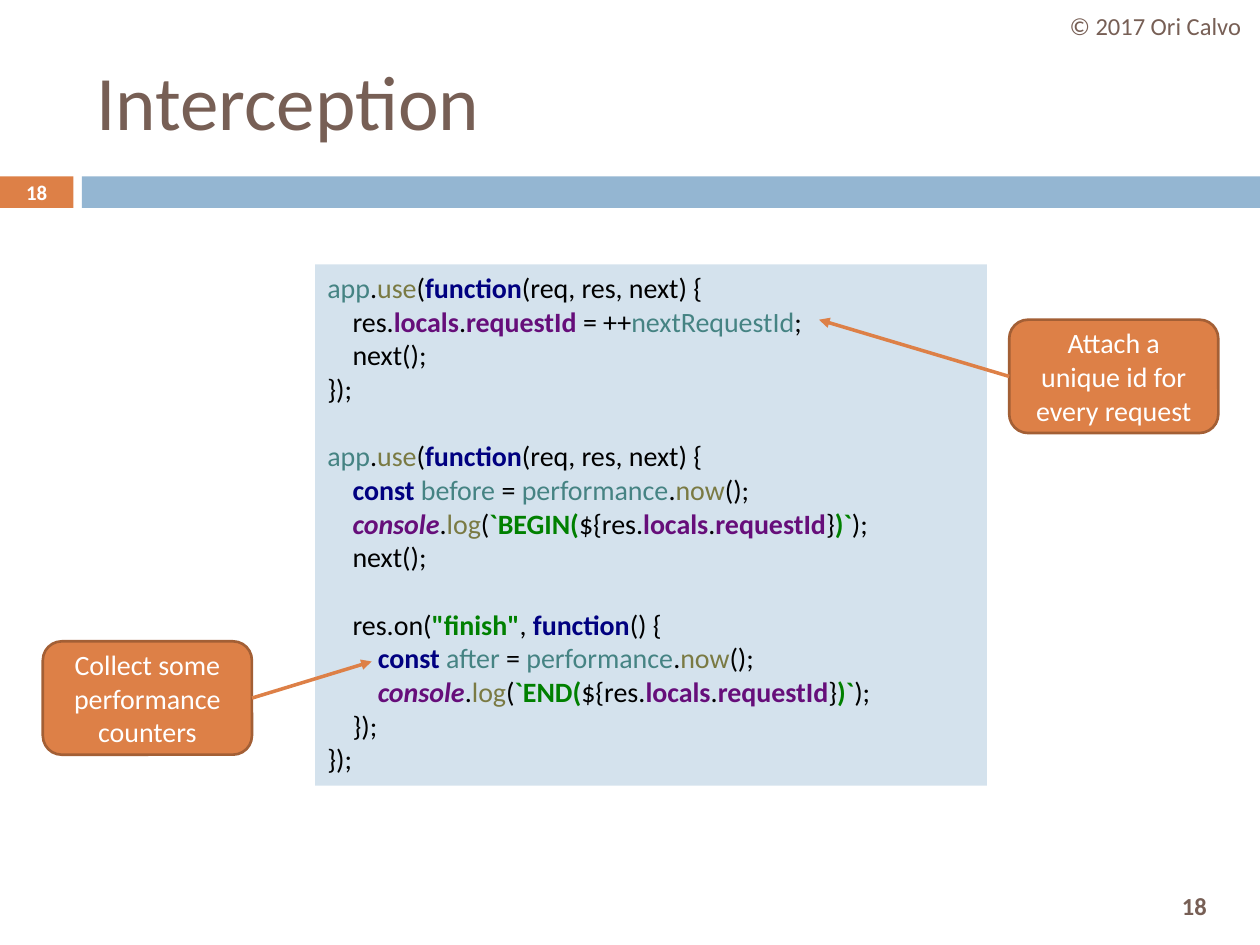
import pptx
import pptx.util
import pptx.dml.color
import pptx.enum.shapes
import pptx.enum.text
import pptx.oxml.ns
import lxml.etree

Pt = pptx.util.Pt
SHAPE = pptx.enum.shapes.MSO_SHAPE
ALIGN = pptx.enum.text.PP_ALIGN
ANCHOR = pptx.enum.text.MSO_ANCHOR

COLORS = {
    "brown": "775F55", "orange": "DD8047", "rust": "A35F35",
    "blue": "94B6D2", "pale": "D4E2ED", "white": "FFFFFF", "black": "000000",
    "teal": "458383", "olive": "7A7A43", "navy": "000080",
    "purple": "660E7A", "green": "008000",
}

# Code token styles: colour, bold, italic
TOKENS = {
    "": ("black", False, False),
    "v": ("teal", False, False),
    "m": ("olive", False, False),
    "k": ("navy", True, False),
    "p": ("purple", True, False),
    "g": ("purple", True, True),
    "s": ("green", True, False),
}


def rgb(name):
    return pptx.dml.color.RGBColor.from_string(COLORS[name])


class Deck:
    font = "Calibri"
    code_size = 16
    code_indent = 14.4
    code_line = 19.5

    def __init__(self, width, height):
        self.prs = pptx.Presentation()
        self.prs.slide_width, self.prs.slide_height = Pt(width), Pt(height)
        self.s = self.prs.slides.add_slide(self.prs.slide_layouts[6])

    def label(self, sp, text, size, color, bold=False, align=ALIGN.CENTER):
        tf = sp.text_frame
        tf.word_wrap = True
        tf.vertical_anchor = ANCHOR.MIDDLE
        p = tf.paragraphs[0]
        p.text = text
        p.alignment = align
        p.font.name, p.font.size, p.font.bold = self.font, Pt(size), bold
        p.font.color.rgb = rgb(color)

    def text(self, box, text, size, color, **style):
        sp = self.s.shapes.add_textbox(*map(Pt, box))
        self.label(sp, text, size, color, **style)

    def shape(self, box, fill, line=None, kind=SHAPE.RECTANGLE):
        sp = self.s.shapes.add_shape(kind, *map(Pt, box))
        sp.shadow.inherit = False
        sp.fill.solid()
        sp.fill.fore_color.rgb = rgb(fill)
        if line:
            sp.line.color.rgb = rgb(line)
            sp.line.width = Pt(1.5)
        else:
            sp.line.fill.background()
        return sp

    def callout(self, left, top, text):
        sp = self.shape((left, top, 119.5, 64.8), "orange", "rust", SHAPE.ROUNDED_RECTANGLE)
        self.label(sp, text, 16, "white")

    def arrow(self, x1, y1, x2, y2):
        c = self.s.shapes.add_connector(
            pptx.enum.shapes.MSO_CONNECTOR.STRAIGHT, *map(Pt, (x1, y1, x2, y2)))
        c.line.color.rgb = rgb("orange")
        c.line.width = Pt(2)
        qn = pptx.oxml.ns.qn
        ln = c._element.spPr.find(qn("a:ln"))
        lxml.etree.SubElement(ln, qn("a:tailEnd"), type="triangle")
        lxml.etree.SubElement(c._element.spPr, qn("a:effectLst"))

    def code(self, box, lines):
        """Each line is (indent level, blank lines before, marked-up tokens)."""
        tf = self.shape(box, "pale").text_frame
        tf.word_wrap = True
        tf.vertical_anchor = ANCHOR.TOP
        for i, (level, gap, tokens) in enumerate(lines):
            p = tf.add_paragraph() if i else tf.paragraphs[0]
            p.alignment = ALIGN.LEFT
            p.space_before = Pt(gap * self.code_line)
            p.font.name, p.font.size = self.font, Pt(self.code_size)
            p._p.get_or_add_pPr().set("marL", str(Pt(level * self.code_indent)))
            for token in tokens.split("|"):
                style, _, text = token.rpartition("~")
                color, bold, italic = TOKENS[style]
                r = p.add_run()
                r.text = text
                r.font.color.rgb = rgb(color)
                r.font.bold, r.font.italic = bold, italic


# Code fragments: "style~text" tokens split by "|"
USE = "v~app|.|m~use|(|k~function|(req, res, next) {"


def timing(name):
    return f"k~const |v~{name} |= |v~performance|.|m~now|();"


def log(label):
    return f"g~console|.|m~log|(|s~`{label}(|${{res.|p~locals|.|p~requestId|}}|s~)`|);"


LINES = [
    (0, 0, USE),
    (1, 0, "res.|p~locals|.|p~requestId |= ++|v~nextRequestId|;"),
    (1, 0, "next();"),
    (0, 0, "});"),
    (0, 1, USE),
    (1, 0, timing("before")),
    (1, 0, log("BEGIN")),
    (1, 0, "next();"),
    (1, 1, 'res.on(|s~"finish"|, |k~function|() {'),
    (2, 0, timing("after")),
    (2, 0, log("END")),
    (1, 0, "});"),
    (0, 0, "});"),
]

deck = Deck(720, 540)

# Header band, title and page numbers
deck.shape((0, 100.8, 42, 18), "orange")
deck.shape((46.8, 100.8, 673.2, 18), "blue")
deck.text((649.5, 502.5, 66, 30), "18", 14, "brown", bold=True)
deck.text((48, 18, 642, 78), "Interception", 44, "brown", align=ALIGN.LEFT)
deck.text((600.5, 0, 119.5, 29), "© 2017 Ori Calvo", 14, "brown")
deck.text((0, 100, 42, 19.5), "18", 11.9, "white", bold=True)

# Code panel
deck.code((180, 151, 384, 298), LINES)

# Callouts with arrows into the code
deck.callout(576.7, 182.7, "Attach a unique id for every request")
deck.arrow(576.7, 215.1, 468, 182.7)
deck.callout(24.5, 366.5, "Collect some performance counters")
deck.arrow(144, 398.9, 212.4, 378)

deck.prs.save("out.pptx")
